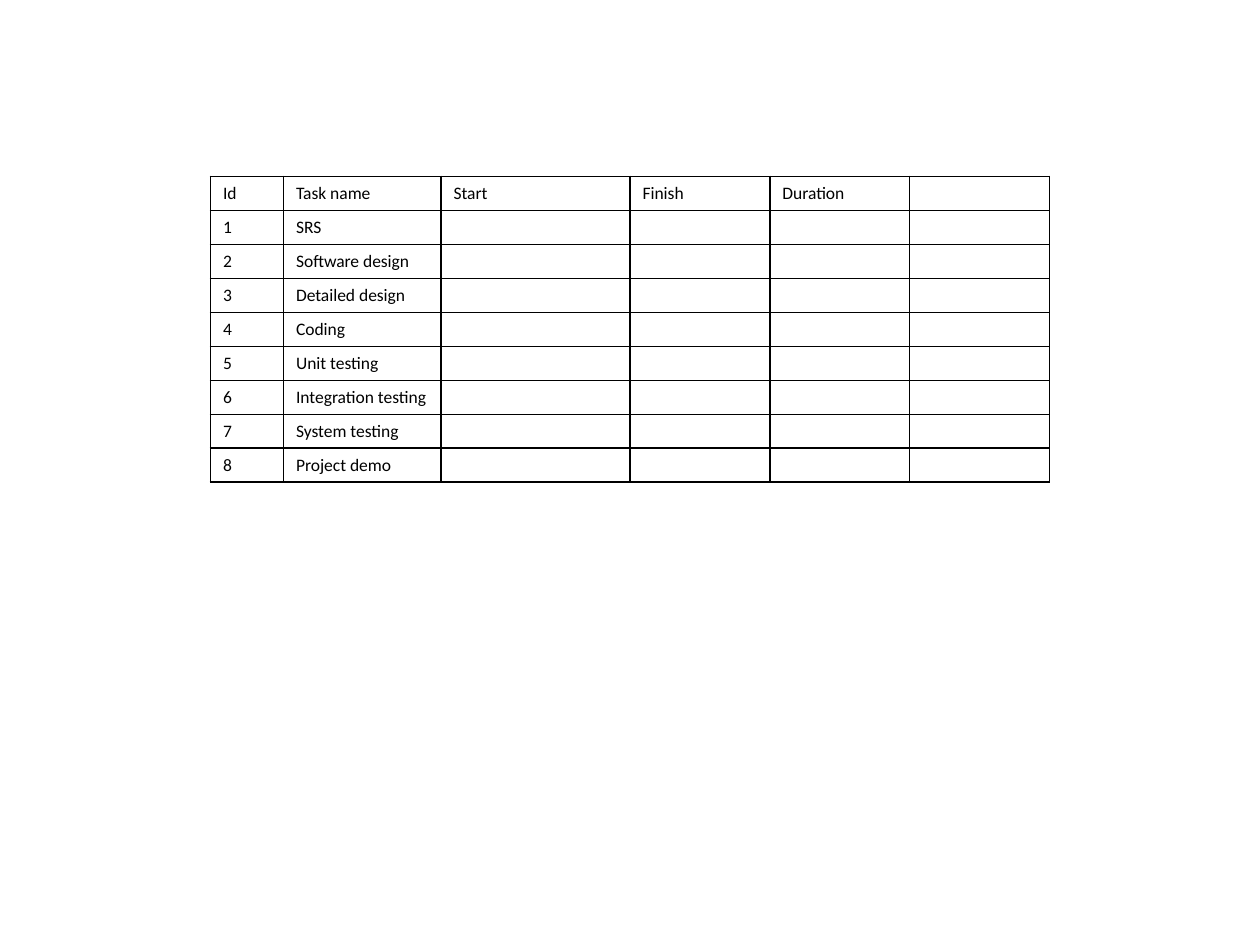
from typing import NamedTuple

from lxml.etree import SubElement as Sub
from pptx import Presentation
from pptx.dml.color import RGBColor
from pptx.oxml.ns import qn
from pptx.util import Inches, Pt

BLACK = RGBColor(0, 0, 0)
FONT = "Calibri"
SIZE = Pt(10)
EDGE = Pt(1)
ROW = 0.27


class Column(NamedTuple):
    head: str
    width: float


class Task(NamedTuple):
    id: str
    name: str


COLUMNS = [
    Column("Id", 0.58),
    Column("Task name", 1.25),
    Column("Start", 1.5),
    Column("Finish", 1.11),
    Column("Duration", 1.11),
    Column("", 1.11),
]
NAMES = [
    "SRS", "Software design", "Detailed design", "Coding", "Unit testing",
    "Integration testing", "System testing", "Project demo",
]
TASKS = [Task(str(num), name) for num, name in enumerate(NAMES, 1)]


def add_edges(cell) -> None:
    props = cell._tc.get_or_add_tcPr()
    for side in ("a:lnL", "a:lnR", "a:lnT", "a:lnB"):
        line = Sub(props, qn(side), w=str(EDGE))
        fill = Sub(line, qn("a:solidFill"))
        Sub(fill, qn("a:srgbClr"), val=str(BLACK))


def fill_cell(cell, text: str) -> None:
    add_edges(cell)
    cell.fill.background()
    para = cell.text_frame.paragraphs[0]
    para.text = text
    for run in para.runs:
        run.font.name = FONT
        run.font.size = SIZE
        run.font.color.rgb = BLACK
    if not text:
        end = Sub(para._p, qn("a:endParaRPr"), sz=str(int(SIZE.pt * 100)))
        Sub(end, qn("a:latin"), typeface=FONT)


def add_plan(slide, columns: list[Column], tasks: list[Task]) -> None:
    rows = [[col.head for col in columns]]
    rows += [list(task) + [""] * (len(columns) - len(task)) for task in tasks]
    width = sum(col.width for col in columns)
    frame = slide.shapes.add_table(
        len(rows), len(columns), Inches(1.67), Inches(1.4),
        Inches(width), Inches(ROW * len(rows)))
    table = frame.table
    table.first_row = False
    table.horz_banding = False
    for col, item in zip(table.columns, columns):
        col.width = Inches(item.width)
    for row, texts in zip(table.rows, rows):
        row.height = Inches(ROW)
        for cell, text in zip(row.cells, texts):
            fill_cell(cell, text)


deck = Presentation()
deck.slide_width = Inches(10)
deck.slide_height = Inches(7.5)
slide = deck.slides.add_slide(deck.slide_layouts[6])
add_plan(slide, COLUMNS, TASKS)
deck.save("out.pptx")
